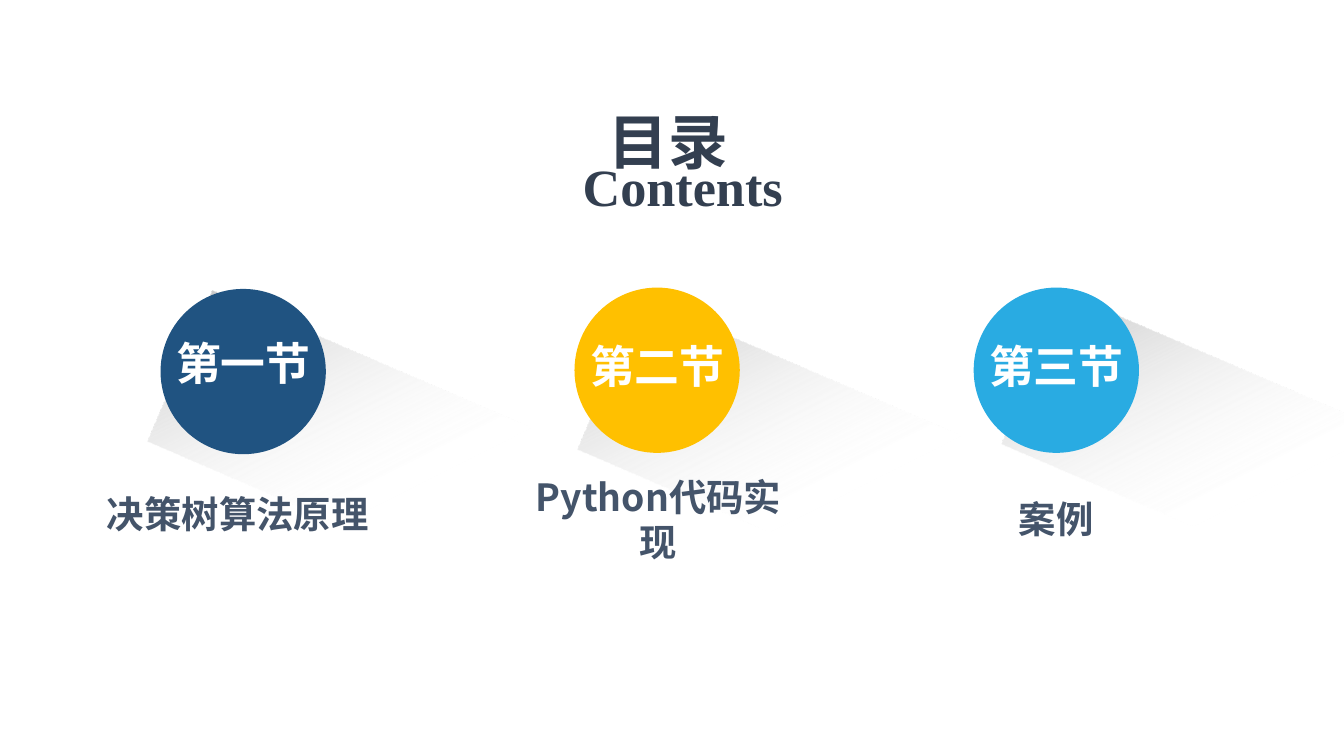
"""Build a contents slide with three numbered sections."""
from dataclasses import dataclass

from lxml.etree import SubElement
from pptx import Presentation
from pptx.dml.color import RGBColor as Rgb
from pptx.enum.shapes import MSO_SHAPE as Form
from pptx.enum.text import MSO_ANCHOR as Anchor, PP_ALIGN as Align
from pptx.oxml import parse_xml
from pptx.oxml.ns import nsdecls, qn
from pptx.shapes.autoshape import Shape
from pptx.shapes.shapetree import SlideShapes as Shapes
from pptx.util import Inches, Pt


@dataclass(frozen=True)
class Theme:
    sans: str = "Noto Sans CJK SC"
    serif: str = "Times New Roman"
    title: str = "333F50"
    label: str = "44546A"
    white: str = "FFFFFF"
    shade: str = "BFBFBF"
    title_pt: int = 32
    sub_pt: int = 28
    head_pt: int = 24
    label_pt: int = 20


@dataclass(frozen=True)
class Box:
    left: float
    top: float
    width: float
    height: float

    def place(self) -> tuple:
        return tuple(map(Inches, (self.left, self.top, self.width, self.height)))


@dataclass(frozen=True)
class Part:
    head: str
    label: str
    color: str
    mid: float
    top: float
    head_top: float
    label_box: Box
    shade_left: float
    shade_top: float


THEME = Theme()
DISC = 1.23
PARTS = (
    Part("第一节", "决策树算法原理", "205381", 1.81, 2.15, 2.45,
         Box(0.76, 3.65, 2.02, 0.34), 1.19, 2.85),
    Part("第二节", "Python代码实现", "FFC000", 4.89, 2.14, 2.47,
         Box(3.86, 3.69, 2.08, 0.34), 4.39, 2.91),
    Part("第三节", "案例", "29ABE2", 7.86, 2.14, 2.47,
         Box(7.58, 3.69, 0.56, 0.34), 7.54, 2.87),
)


def add_form(shapes: Shapes, form: Form, box: Box) -> Shape:
    shape = shapes.add_shape(form, *box.place())
    shape.shadow.inherit = False
    shape.line.fill.background()
    return shape


def add_shade(shapes: Shapes, part: Part) -> None:
    box = Box(part.shade_left, part.shade_top, 3.72, 1.22)
    shape = add_form(shapes, Form.RECTANGLE, box)
    shape.rotation = 23.3
    fade = parse_xml(
        f'<a:gradFill {nsdecls("a")} rotWithShape="1"><a:gsLst>'
        f'<a:gs pos="0"><a:srgbClr val="{THEME.shade}"/></a:gs>'
        f'<a:gs pos="54000"><a:srgbClr val="{THEME.white}">'
        '<a:alpha val="0"/></a:srgbClr></a:gs></a:gsLst>'
        '<a:lin ang="2400000" scaled="0"/></a:gradFill>')
    shape.element.spPr.find(qn("a:prstGeom")).addnext(fade)


def add_disc(shapes: Shapes, part: Part) -> None:
    box = Box(part.mid - DISC / 2, part.top, DISC, DISC)
    shape = add_form(shapes, Form.OVAL, box)
    shape.fill.solid()
    shape.fill.fore_color.rgb = Rgb.from_string(part.color)


def set_text(shape: Shape, text: str, size: int, color: str,
             face: str = THEME.sans, align: Align = Align.CENTER,
             anchor: Anchor = Anchor.MIDDLE, wrap: bool = False,
             inset: bool = False) -> None:
    frame = shape.text_frame
    frame.text = text
    frame.word_wrap = wrap
    frame.vertical_anchor = anchor
    if not inset:
        frame.margin_left = frame.margin_right = 0
        frame.margin_top = frame.margin_bottom = 0
    line = frame.paragraphs[0]
    line.alignment = align
    font = line.runs[0].font
    font.name, font.size, font.bold = face, Pt(size), True
    font.color.rgb = Rgb.from_string(color)
    SubElement(line.runs[0].font._element, qn("a:ea"), typeface=face)


def add_title(shapes: Shapes) -> None:
    title = shapes.add_textbox(*Box(4.53, 0.78, 1.1, 0.5).place())
    set_text(title, "目录", THEME.title_pt, THEME.title,
             align=Align.JUSTIFY, anchor=Anchor.TOP, wrap=True)
    sub = add_form(shapes, Form.DIAMOND, Box(4.45, 0.76, 1.26, 1.24))
    sub.fill.background()
    set_text(sub, "Contents", THEME.sub_pt, THEME.title, THEME.serif)


def add_words(shapes: Shapes, part: Part) -> None:
    box = Box(part.mid - 0.66, part.head_top, 1.32, 0.5)
    head = shapes.add_textbox(*box.place())
    set_text(head, part.head, THEME.head_pt, THEME.white,
             anchor=Anchor.TOP, inset=True)
    label = shapes.add_textbox(*part.label_box.place())
    set_text(label, part.label, THEME.label_pt, THEME.label, wrap=True)


def main() -> None:
    deck = Presentation()
    deck.slide_width = Inches(10)
    deck.slide_height = deck.slide_width * 9 // 16
    shapes = deck.slides.add_slide(deck.slide_layouts[6]).shapes
    for part in PARTS:
        add_shade(shapes, part)
    for part in PARTS:
        add_disc(shapes, part)
    add_title(shapes)
    for part in PARTS:
        add_words(shapes, part)
    deck.save("out.pptx")


if __name__ == "__main__":
    main()
